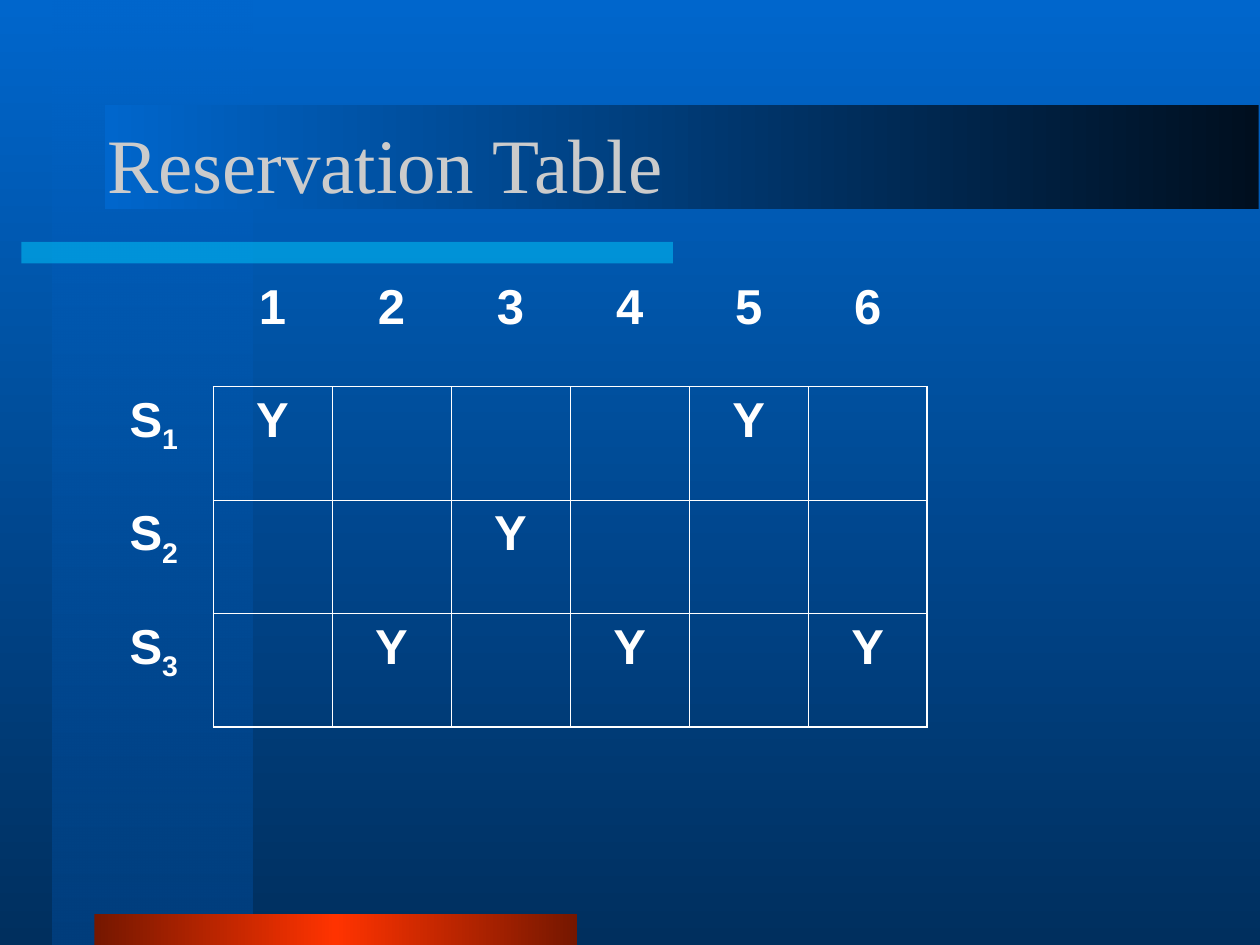
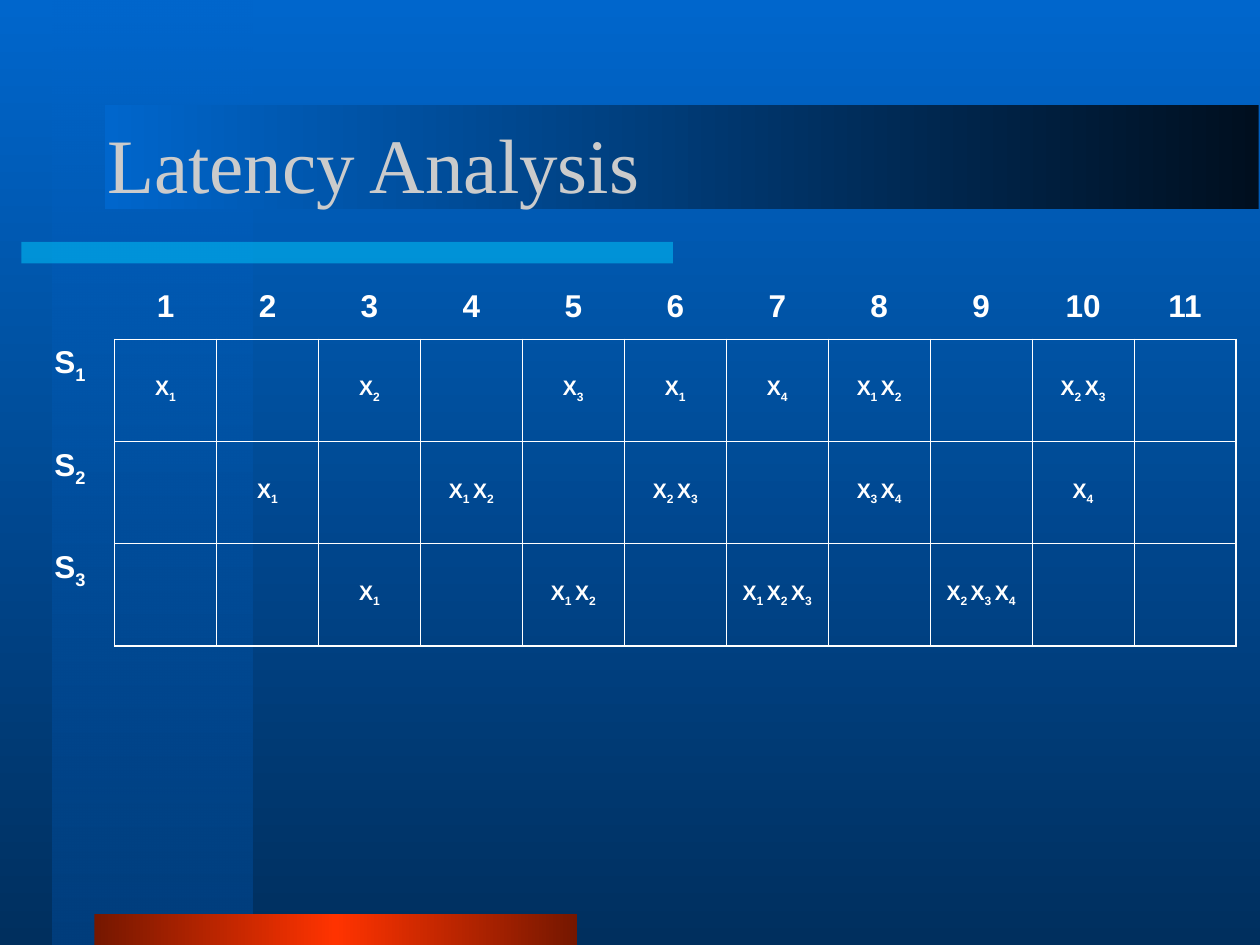
from dataclasses import dataclass
from typing import NamedTuple

from lxml.etree import SubElement
from pptx import Presentation
from pptx.dml.color import RGBColor
from pptx.enum.shapes import MSO_SHAPE as Preset
from pptx.enum.text import MSO_ANCHOR as Anchor, PP_ALIGN as Align
from pptx.oxml.ns import qn
from pptx.util import Inches, Pt

WHITE = "FFFFFF"
TITLE_FORMAT = {"name": "Times New Roman", "size": Pt(44), "bold": False}
THIN, THICK = 0.45, 1.08


class Stop(NamedTuple):
    position: int
    color: str
    opacity: int = 100


@dataclass(frozen=True)
class Band:
    left: float
    top: float
    width: float
    height: float
    stops: tuple[Stop, ...]
    angle: int = 0


@dataclass(frozen=True)
class Chart:
    title: str
    left: float
    width: float
    height: float
    label_width: float
    header_height: float
    label_size: int
    entry_size: int
    anchor: Anchor
    rows: tuple[tuple[str, ...], ...]


BACKGROUND = (Stop(0, "0066CC"), Stop(100, "002F5E"))
BANDS = (
    Band(0.42, 0, 1.58, 7.5, (Stop(0, "0066CC", 50), Stop(100, "003E7D")), 90),
    Band(0.17, 1.92, 5.17, 0.17, (Stop(0, "00CCFF", 50),)),
    Band(0.75, 7.25, 3.83, 0.25,
         (Stop(0, "751700"), Stop(50, "FF3300"), Stop(100, "751700")), 180),
    Band(0.83, 0.83, 9.16, 0.83, (Stop(0, "000F1F"), Stop(100, "0066CC")), 180),
)
CHARTS = (
    Chart("Reservation Table", 0.75, 6.61, 3.6, 0.94, 0.9, 28, 28, Anchor.TOP, (
        ("Y", "", "", "", "Y", ""),
        ("", "", "Y", "", "", ""),
        ("", "Y", "", "Y", "", "Y"),
    )),
    Chart("Latency Analysis", 0.2, 9.61, 2.96, 0.71, 0.52, 18, 12, Anchor.MIDDLE, (
        ("X1", "", "X2", "", "X3", "X1", "X4", "X1 X2", "", "X2 X3", ""),
        ("", "X1", "", "X1 X2", "", "X2 X3", "", "X3 X4", "", "X4", ""),
        ("", "", "X1", "", "X1 X2", "", "X1 X2 X3", "", "X2 X3 X4", "", ""),
    )),
)


def rgb(color: str) -> RGBColor:
    return RGBColor.from_string(color)


def apply_format(target, values: dict) -> None:
    for name, value in values.items():
        setattr(target, name, value)


def add_color(parent, color: str, opacity: int = 100) -> None:
    entry = SubElement(parent, qn("a:srgbClr"), val=color)
    if opacity < 100:
        SubElement(entry, qn("a:alpha"), val=str(opacity * 1000))


def paint(owner, fill, stops: tuple[Stop, ...], angle: int) -> None:
    if len(stops) == 1:
        fill.solid()
        solid = owner.element.find(".//" + qn("a:solidFill"))
        solid.clear()
        add_color(solid, stops[0].color, stops[0].opacity)
        return
    fill.gradient()
    fill.gradient_angle = 360 - angle
    stop_list = owner.element.find(".//" + qn("a:gsLst"))
    stop_list.clear()
    for stop in stops:
        entry = SubElement(stop_list, qn("a:gs"), pos=str(stop.position * 1000))
        add_color(entry, stop.color, stop.opacity)


def move_bands_to_layout(slide, layout) -> None:
    layout_title = layout.placeholders[0].element
    for number, band in enumerate(BANDS, start=20):
        box = slide.shapes.add_shape(
            Preset.RECTANGLE, Inches(band.left), Inches(band.top),
            Inches(band.width), Inches(band.height))
        box.shadow.inherit = False
        box.line.fill.background()
        paint(box, box.fill, band.stops, band.angle)
        box.element.nvSpPr.cNvPr.set("id", str(number))
        layout_title.addprevious(box.element)


def set_title(slide, text: str) -> None:
    title = slide.shapes.title
    apply_format(title, {"left": Inches(0.75), "top": Inches(0.67),
                         "width": Inches(8.5), "height": Inches(1.25)})
    title.text_frame.text = text
    title.text_frame.vertical_anchor = Anchor.MIDDLE
    para = title.text_frame.paragraphs[0]
    para.alignment = Align.LEFT
    apply_format(para.runs[0].font, TITLE_FORMAT)
    para.runs[0].font.color.rgb = rgb("CBCBCB")


def write_cell(cell, text: str, size: int, anchor: Anchor) -> None:
    cell.vertical_anchor = anchor
    para = cell.text_frame.paragraphs[0]
    para.alignment = Align.CENTER
    tokens = text.split()
    for index, token in enumerate(tokens):
        gap = " " if index < len(tokens) - 1 else ""
        base, subscript = (token, "") if token.isdigit() else (token[0], token[1:])
        for piece, lowered in ((base, False), (subscript + gap, True)):
            if not piece:
                continue
            span = para.add_run()
            span.text = piece
            apply_format(span.font, {"name": "Arial", "size": Pt(size), "bold": True})
            span.font.color.rgb = rgb(WHITE)
            if lowered:
                span._r.get_or_add_rPr().set("baseline", "-25000")


def cell_borders(row: int, column: int, last_row: int, last_column: int) -> dict[str, float]:
    if row and column:
        return {"L": THIN, "R": THICK if column == last_column else THIN,
                "T": THIN, "B": THICK if row == last_row else THIN}
    if row:
        return {"R": THIN}
    return {"B": THIN} if column else {}


def draw_borders(cell, widths: dict[str, float]) -> None:
    properties = cell._tc.get_or_add_tcPr()
    for side in "LRTB":
        width = Pt(widths.get(side, 0))
        line = SubElement(properties, qn("a:ln" + side), w=str(width))
        if width:
            add_color(SubElement(line, qn("a:solidFill")), WHITE)
        else:
            SubElement(line, qn("a:noFill"))


def add_stage_table(slide, chart: Chart) -> None:
    last_row, last_column = len(chart.rows), len(chart.rows[0])
    table = slide.shapes.add_table(
        last_row + 1, last_column + 1, Inches(chart.left), Inches(2.17),
        Inches(chart.width), Inches(chart.height)).table
    apply_format(table, {"first_row": False, "horz_banding": False})
    for index, column in enumerate(table.columns):
        column.width = Inches((chart.width - chart.label_width) / last_column
                              if index else chart.label_width)
    for index, row in enumerate(table.rows):
        row.height = Inches((chart.height - chart.header_height) / last_row
                            if index else chart.header_height)

    header = ("", *(str(time) for time in range(1, last_column + 1)))
    stages = [(f"S{stage}", *entries) for stage, entries in enumerate(chart.rows, start=1)]
    for row, texts in enumerate([header, *stages]):
        for column, text in enumerate(texts):
            cell = table.cell(row, column)
            size = chart.entry_size if row and column else chart.label_size
            write_cell(cell, text, size, chart.anchor if column else Anchor.TOP)
            draw_borders(cell, cell_borders(row, column, last_row, last_column))
            cell.fill.background()


def main() -> None:
    deck = Presentation()
    apply_format(deck, {"slide_width": Inches(10), "slide_height": Inches(7.5)})
    master = deck.slide_master
    paint(master, master.background.fill, BACKGROUND, 90)
    layout = deck.slide_layouts.get_by_name("Title Only")
    pages = [deck.slides.add_slide(layout) for _ in CHARTS]
    move_bands_to_layout(pages[0], layout)
    for page, chart in zip(pages, CHARTS):
        set_title(page, chart.title)
        add_stage_table(page, chart)
    deck.save("out.pptx")


if __name__ == "__main__":
    main()
